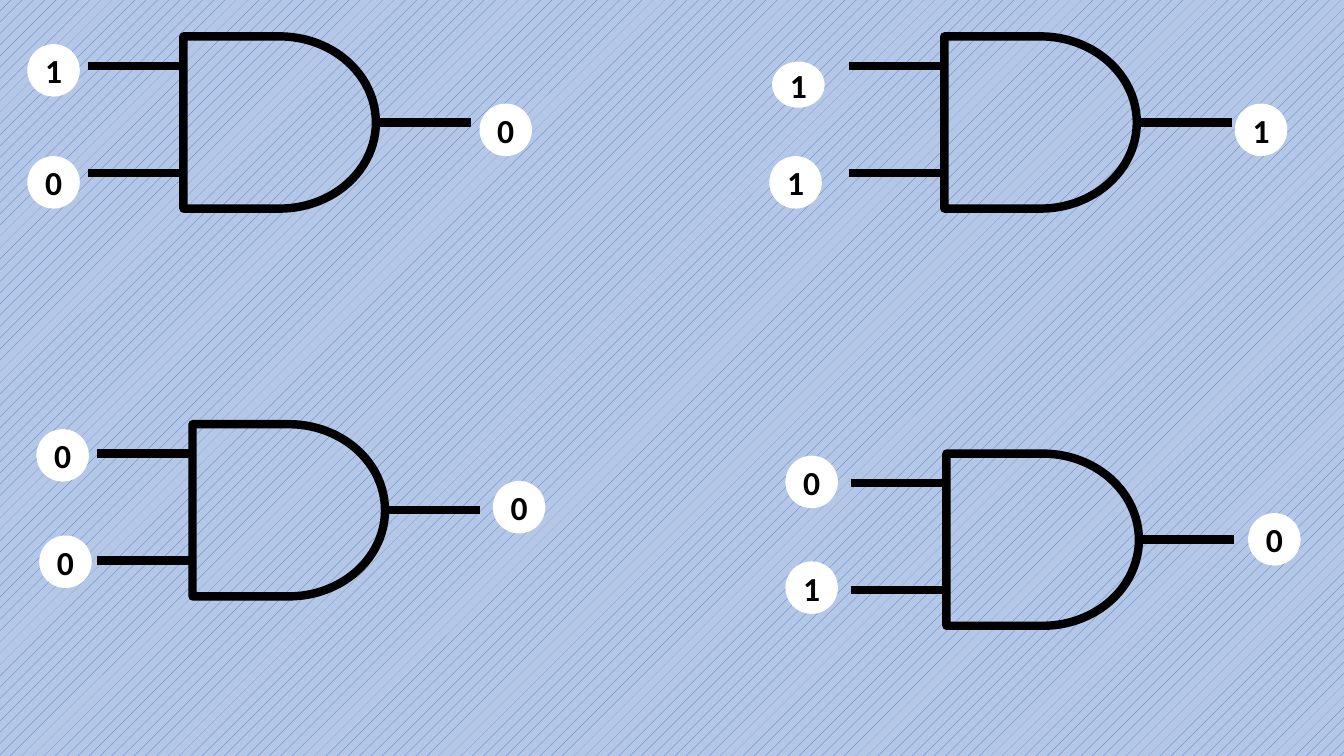
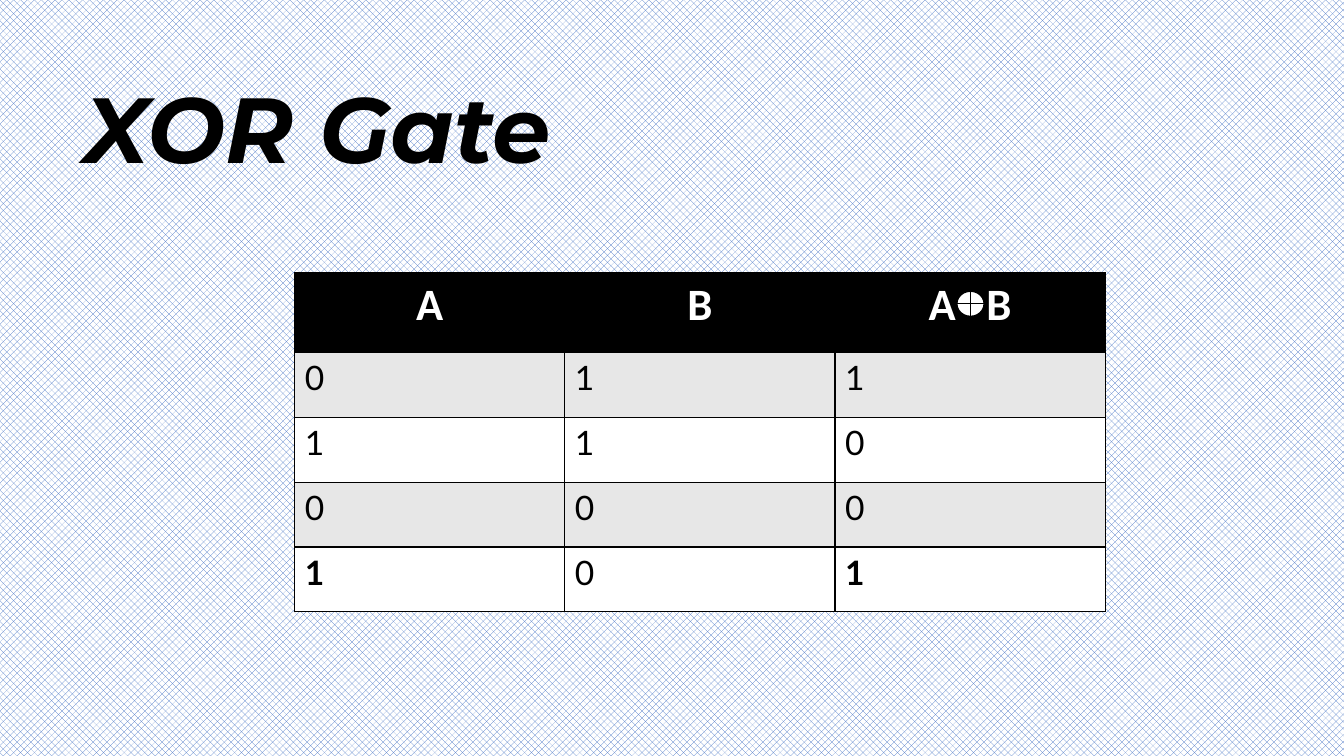
from lxml.etree import SubElement
from pptx import Presentation
from pptx.dml.color import RGBColor
from pptx.enum.dml import MSO_PATTERN
from pptx.enum.shapes import MSO_CONNECTOR, MSO_SHAPE
from pptx.enum.text import MSO_ANCHOR, MSO_AUTO_SIZE, PP_ALIGN
from pptx.oxml.ns import qn
from pptx.util import Pt

COLORS = {
    "ink": "000000",
    "paper": "FFFFFF",
    "band": "E7E7E7",
    "hatch": "4472C4",
    "sky": "B4C7E7",
}
GATE_W, GATE_H = 137.5, 123
LEAD = 68
INPUTS = (21, 97.5)
DISC = 37.5

GATES = [(131, 26), (137.5, 303), (674.5, 26), (676, 324)]
BITS = [
    ("1", 19.5, 31.5, DISC),
    ("0", 19.5, 111.5, DISC),
    ("0", 342.5, 74, DISC),
    ("0", 26, 306.5, DISC),
    ("0", 28, 382.5, DISC),
    ("0", 352, 343.5, DISC),
    ("1", 551.5, 44, 33),
    ("1", 549.5, 111.5, DISC),
    ("1", 882, 74, DISC),
    ("0", 561, 325.5, DISC),
    ("1", 561, 401, DISC),
    ("0", 891.5, 366.5, DISC),
]
HEADS = [["A"], ["B"], ["A", " ", "B"]]
ROWS = ["011", "110", "000", "101"]
BOLD = {(4, 0), (4, 2)}


def color(name):
    return RGBColor.from_string(COLORS[name])


def add_slide(deck, layout, pattern, back):
    slide = deck.slides.add_slide(deck.slide_layouts[layout])
    fill = slide.background.fill
    fill.patterned()
    fill.pattern = pattern
    fill.fore_color.rgb = color("hatch")
    fill.back_color.rgb = color(back)
    return slide


def set_font(font, name, size, tint, bold=False):
    font.name = name
    font.size = Pt(size)
    font.bold = bold
    font.color.rgb = color(tint)


def set_line(line, width):
    line.color.rgb = color("ink")
    line.width = Pt(width)


def add_shape(shapes, kind, x, y, w, h, fill=None, width=0):
    shape = shapes.add_shape(kind, Pt(x), Pt(y), Pt(w), Pt(h))
    shape.shadow.inherit = False
    if fill:
        shape.fill.solid()
        shape.fill.fore_color.rgb = color(fill)
    else:
        shape.fill.background()
    if width:
        set_line(shape.line, width)
    else:
        shape.line.fill.background()
    return shape


def add_lead(shapes, x, y):
    lead = shapes.add_connector(
        MSO_CONNECTOR.STRAIGHT, Pt(x), Pt(y), Pt(x + LEAD), Pt(y)
    )
    set_line(lead.line, 6)
    SubElement(lead.element.spPr, qn("a:effectLst"))
    return lead


def add_gate(slide, x, y):
    shapes = slide.shapes.add_group_shape().shapes
    body = add_shape(
        shapes, MSO_SHAPE.FLOWCHART_DELAY, x, y, GATE_W, GATE_H, width=6
    )
    for drop in INPUTS:
        add_lead(shapes, x - LEAD, y + drop)
    out = add_lead(shapes, x + GATE_W, y + GATE_H / 2)
    out.begin_connect(body, 3)


def add_bit(slide, text, x, y, h):
    disc = add_shape(slide.shapes, MSO_SHAPE.OVAL, x, y, DISC, h, "paper")
    frame = disc.text_frame
    frame.margin_left = frame.margin_right = 0
    frame.margin_top = frame.margin_bottom = 0
    frame.vertical_anchor = MSO_ANCHOR.MIDDLE
    para = frame.paragraphs[0]
    para.text = text
    para.alignment = PP_ALIGN.CENTER
    set_font(para.font, "Calibri", 24, "ink", True)


def set_title(slide, text):
    title = slide.shapes.title
    title.left, title.top = Pt(52.5), Pt(47.5)
    title.width, title.height = Pt(415), Pt(87)
    frame = title.text_frame
    frame.vertical_anchor = MSO_ANCHOR.TOP
    frame.auto_size = MSO_AUTO_SIZE.SHAPE_TO_FIT_TEXT
    para = frame.paragraphs[0]
    para.text = text
    para.alignment = PP_ALIGN.LEFT
    set_font(para.font, "Montserrat", 66, "ink", True)
    para.font.italic = True


def style_cell(cell, fill):
    props = cell._tc.get_or_add_tcPr()
    for side in ("lnL", "lnR", "lnT", "lnB"):
        edge = SubElement(props, qn(f"a:{side}"), w=str(Pt(1)))
        solid = SubElement(edge, qn("a:solidFill"))
        SubElement(solid, qn("a:srgbClr"), val=COLORS["ink"])
    cell.fill.solid()
    cell.fill.fore_color.rgb = color(fill)


def add_head(cell, parts):
    style_cell(cell, "ink")
    para = cell.text_frame.paragraphs[0]
    para.alignment = PP_ALIGN.CENTER
    set_font(para.font, "Calibri", 32, "paper", True)
    for part in parts:
        run = para.add_run()
        run.text = part
        set_font(run.font, "Calibri", 32, "paper", True)
        if part == " ":
            run._r.get_or_add_rPr().set("spc", "1450")


def add_truth(slide):
    frame = slide.shapes.add_table(
        len(ROWS) + 1, len(HEADS), Pt(210.5), Pt(195), Pt(579), Pt(242)
    )
    table = frame.table
    for col in table.columns:
        col.width = Pt(193)
    for i, row in enumerate(table.rows):
        row.height = Pt(46.25 if i else 57)
    for j, parts in enumerate(HEADS):
        add_head(table.cell(0, j), parts)
    for i, bits in enumerate(ROWS, 1):
        for j, bit in enumerate(bits):
            cell = table.cell(i, j)
            style_cell(cell, "band" if i % 2 else "paper")
            para = cell.text_frame.paragraphs[0]
            para.text = bit
            set_font(para.font, "Lato", 24, "ink", (i, j) in BOLD)


def main():
    deck = Presentation()
    deck.slide_width, deck.slide_height = Pt(960), Pt(540)

    slide = add_slide(deck, 6, MSO_PATTERN.PERCENT_10, "sky")
    for spot in GATES:
        add_gate(slide, *spot)
    for bit in BITS:
        add_bit(slide, *bit)

    slide = add_slide(deck, 5, MSO_PATTERN.PERCENT_50, "paper")
    set_title(slide, "XOR Gate")
    add_truth(slide)
    add_shape(
        slide.shapes, MSO_SHAPE.FLOWCHART_OR, 683.5, 208, 19.5, 18, "paper", 1
    )

    deck.save("out.pptx")


if __name__ == "__main__":
    main()
